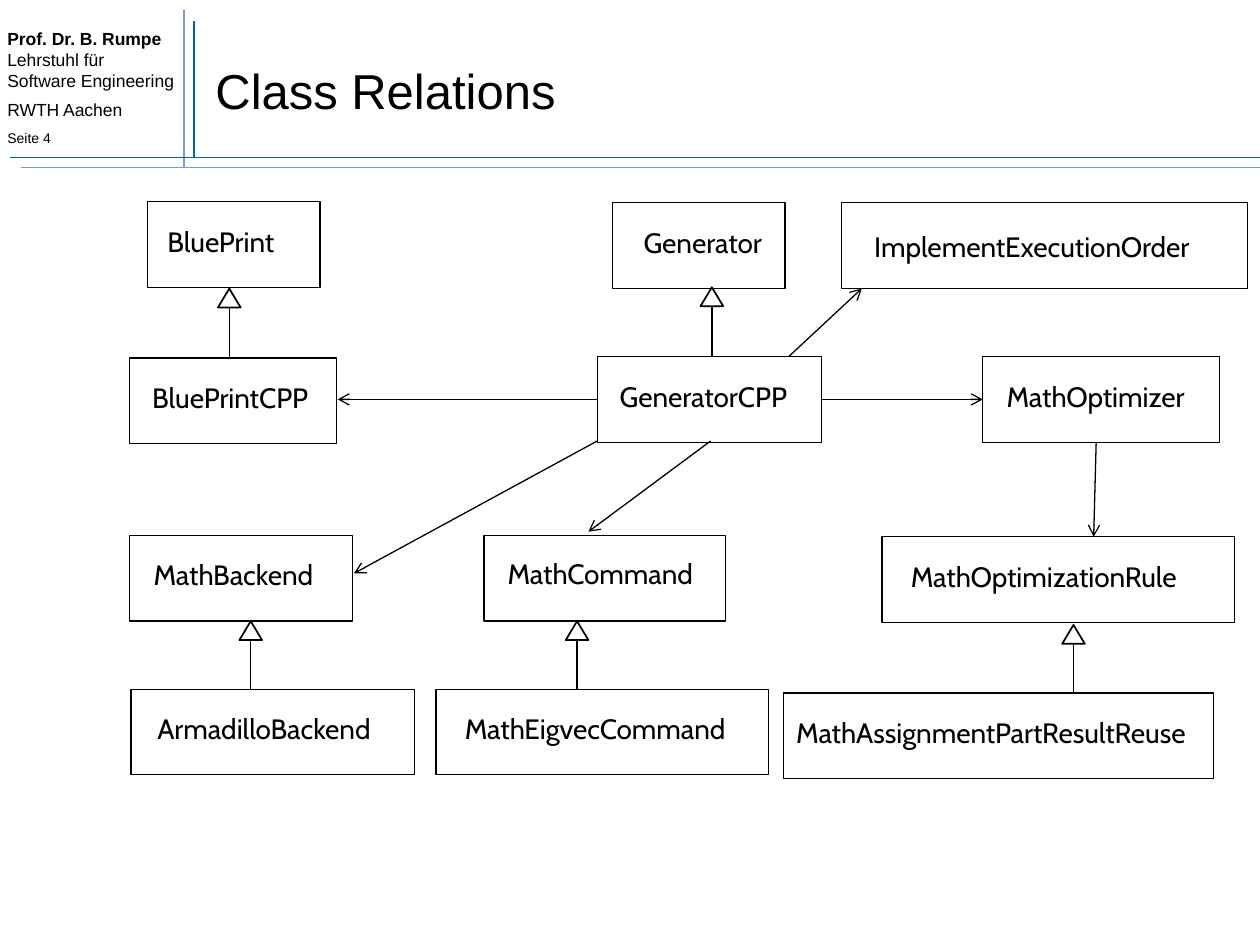
import pptx
import pptx.dml.color
import pptx.enum.shapes
import pptx.enum.text
import pptx.oxml
import pptx.oxml.ns
import pptx.util

Inches = pptx.util.Inches
BLACK = pptx.dml.color.RGBColor(0x00, 0x00, 0x00)
WHITE = pptx.dml.color.RGBColor(0xFF, 0xFF, 0xFF)
DARK_BLUE = pptx.dml.color.RGBColor(0x00, 0x67, 0xA6)
LIGHT_BLUE = pptx.dml.color.RGBColor(0x77, 0x9E, 0xC9)
TITLE_FORMAT = {"name": "Arial", "size": pptx.util.Pt(28)}
HEADER_FORMAT = {"name": "Arial", "size": pptx.util.Pt(10)}
CLASS_FORMAT = {"name": "Cabin", "size": pptx.util.Pt(16)}

LABEL_HEIGHT = 0.37
CLASS_HEIGHT = 0.68

# Class name, box left, top and width, label left, top and width
CLASSES = [
    ("Generator", 4.86, 1.61, 1.37, 5.01, 1.74, 1.22),
    ("BluePrint", 1.17, 1.6, 1.37, 1.23, 1.73, 1.22),
    ("MathBackend", 1.03, 4.25, 1.77, 1.12, 4.38, 1.58),
    ("ImplementExecutionOrder", 6.68, 1.61, 3.22, 6.84, 1.77, 2.86),
    ("MathCommand", 3.84, 4.25, 1.92, 3.93, 4.37, 1.7),
    ("MathOptimizationRule", 7, 4.26, 2.8, 7.13, 4.39, 2.49),
    ("MathOptimizer", 7.8, 2.83, 1.88, 7.89, 2.96, 1.67),
    ("BluePrintCPP", 1.03, 2.84, 1.64, 1.11, 2.97, 1.46),
    ("GeneratorCPP", 4.74, 2.83, 1.78, 4.82, 2.96, 1.59),
    ("MathEigvecCommand", 3.46, 5.47, 2.64, 3.59, 5.6, 2.35),
    ("MathAssignmentPartResultReuse", 6.22, 5.5, 3.41, 6.22, 5.63, 3.39),
    ("ArmadilloBackend", 1.04, 5.47, 2.25, 1.15, 5.6, 2),
]
# Centre and top of each inheritance arrow
INHERITANCES = [(5.65, 2.28), (4.58, 4.93), (8.52, 4.96), (1.82, 2.29), (1.99, 4.93)]
# Start and end of each association; the arrowhead is at the end
ASSOCIATIONS = [
    (6.26, 2.83, 6.84, 2.29),
    (5.64, 3.5, 4.67, 4.22),
    (4.74, 3.17, 2.68, 3.17),
    (8.7, 3.52, 8.68, 4.26),
    (6.52, 3.17, 7.8, 3.17),
    (4.74, 3.5, 2.81, 4.55),
]


def add_span(para, text, formats, **changes):
    span = para.add_run()
    span.text = text
    for name, value in {**formats, **changes}.items():
        setattr(span.font, name, value)
    span.font.color.rgb = BLACK


def add_line(shapes, ends, color=BLACK, width=0.75, arrow=False):
    line = shapes.add_connector(
        pptx.enum.shapes.MSO_CONNECTOR.STRAIGHT, *map(Inches, ends))
    line.line.color.rgb = color
    line.line.width = pptx.util.Pt(width)
    properties = line.line._get_or_add_ln()
    if arrow:
        head = pptx.oxml.parse_xml(
            f'<a:tailEnd {pptx.oxml.ns.nsdecls("a")} type="arrow"/>')
        properties.append(head)
    effects = pptx.oxml.parse_xml(f'<a:effectLst {pptx.oxml.ns.nsdecls("a")}/>')
    properties.addnext(effects)


def add_outline(shapes, kind, area, width):
    shape = shapes.add_shape(kind, *map(Inches, area))
    shape.shadow.inherit = False
    shape.line.color.rgb = BLACK
    shape.line.width = pptx.util.Pt(width)
    return shape


def add_text_box(shapes, area):
    box = shapes.add_textbox(*map(Inches, area))
    box.text_frame.word_wrap = True
    return box.text_frame


def add_header(page, left, top, width, height):
    # Affiliation
    frame = add_text_box(page.shapes, (left, top, width, height))
    para = frame.paragraphs[0]
    add_span(para, "Prof. Dr. B. Rumpe", HEADER_FORMAT, bold=True)
    para.add_line_break()
    add_span(para, "Lehrstuhl für Software Engineering", HEADER_FORMAT)
    for text, size in (("RWTH Aachen", 10), ("Seite 4", 8)):
        para = frame.add_paragraph()
        para.space_before = pptx.util.Pt(5)
        add_span(para, text, HEADER_FORMAT, size=pptx.util.Pt(size))
    # Crossing double rules
    for ends, color in (
        ((1.54, 1.25, 1.54, 0.17), DARK_BLUE),
        ((1.46, 1.33, 1.46, 0.08), LIGHT_BLUE),
        ((0.08, 1.25, 10, 1.25), DARK_BLUE),
        ((0.17, 1.33, 10, 1.33), LIGHT_BLUE),
    ):
        add_line(page.shapes, ends, color, 1)


def add_title(page, left, top, width, height):
    title = page.shapes.title
    places = {"left": left, "top": top, "width": width, "height": height}
    for name, value in places.items():
        setattr(title, name, Inches(value))
    frame = title.text_frame
    frame.vertical_anchor = pptx.enum.text.MSO_ANCHOR.MIDDLE
    para = frame.paragraphs[0]
    para.alignment = pptx.enum.text.PP_ALIGN.LEFT
    add_span(para, "Class Relations", TITLE_FORMAT)


def add_class(page, name, left, top, width, label_left, label_top, label_width):
    group = page.shapes.add_group_shape()
    box = add_outline(group.shapes, pptx.enum.shapes.MSO_SHAPE.RECTANGLE,
                      (left, top, width, CLASS_HEIGHT), 0.75)
    box.fill.background()
    frame = add_text_box(
        group.shapes, (label_left, label_top, label_width, LABEL_HEIGHT))
    add_span(frame.paragraphs[0], name, CLASS_FORMAT)


def add_inheritance(page, center, top, width=0.18, height=0.15, length=0.55):
    group = page.shapes.add_group_shape()
    add_line(group.shapes, (center, top, center, top + length))
    head = add_outline(group.shapes, pptx.enum.shapes.MSO_SHAPE.ISOSCELES_TRIANGLE,
                       (center - width / 2, top, width, height), 1)
    head.fill.solid()
    head.fill.fore_color.rgb = WHITE


def main():
    deck = pptx.Presentation()
    deck.slide_width, deck.slide_height = Inches(10), Inches(7.5)
    page = deck.slides.add_slide(deck.slide_layouts.get_by_name("Title Only"))
    add_header(page, -0.04, 0.17, 1.53, 1.06)
    add_title(page, 1.61, 0.25, 8.27, 0.92)
    # Class diagram
    for entry in CLASSES:
        add_class(page, *entry)
    for ends in ASSOCIATIONS:
        add_line(page.shapes, ends, arrow=True)
    for place in INHERITANCES:
        add_inheritance(page, *place)
    deck.save("out.pptx")


if __name__ == "__main__":
    main()
